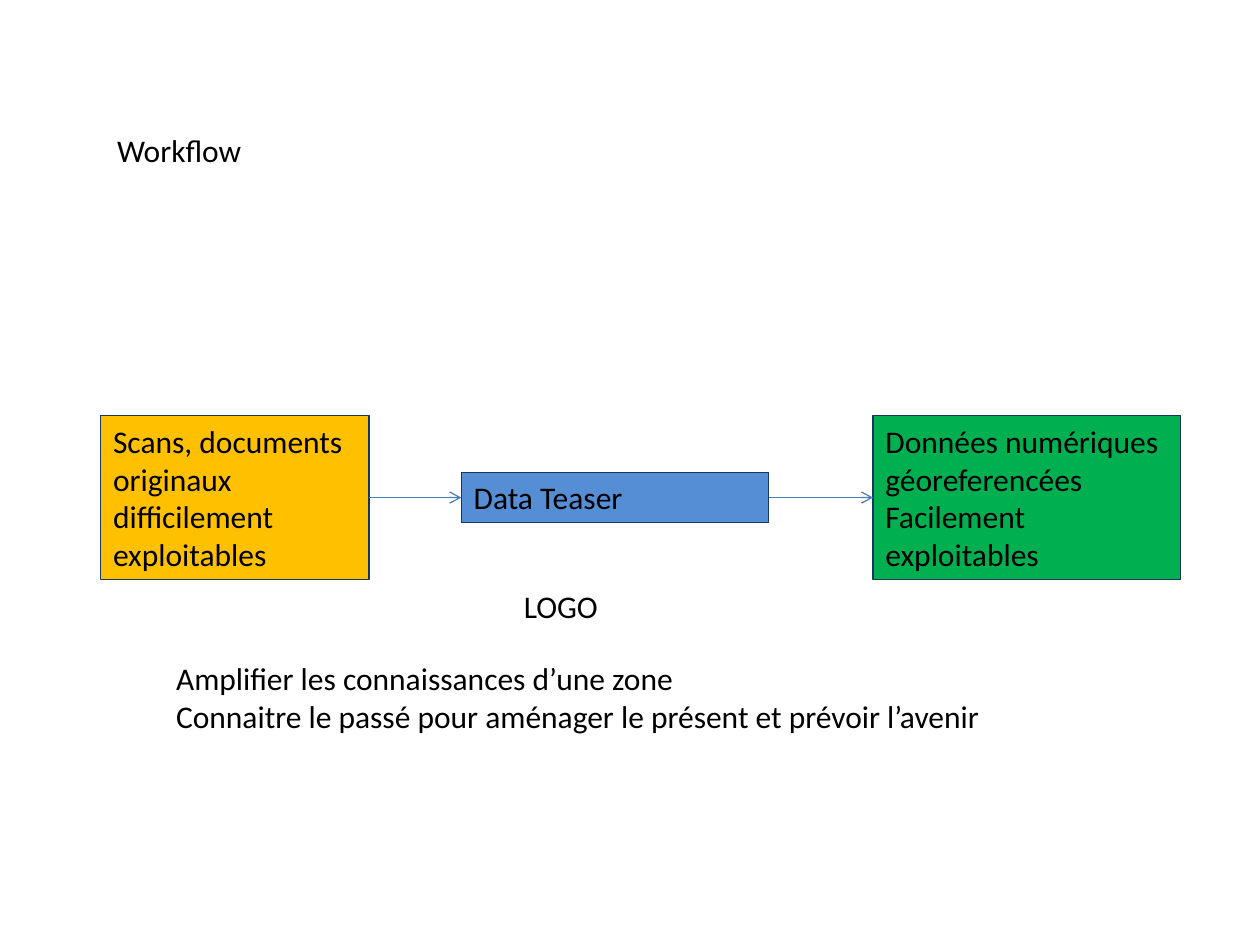
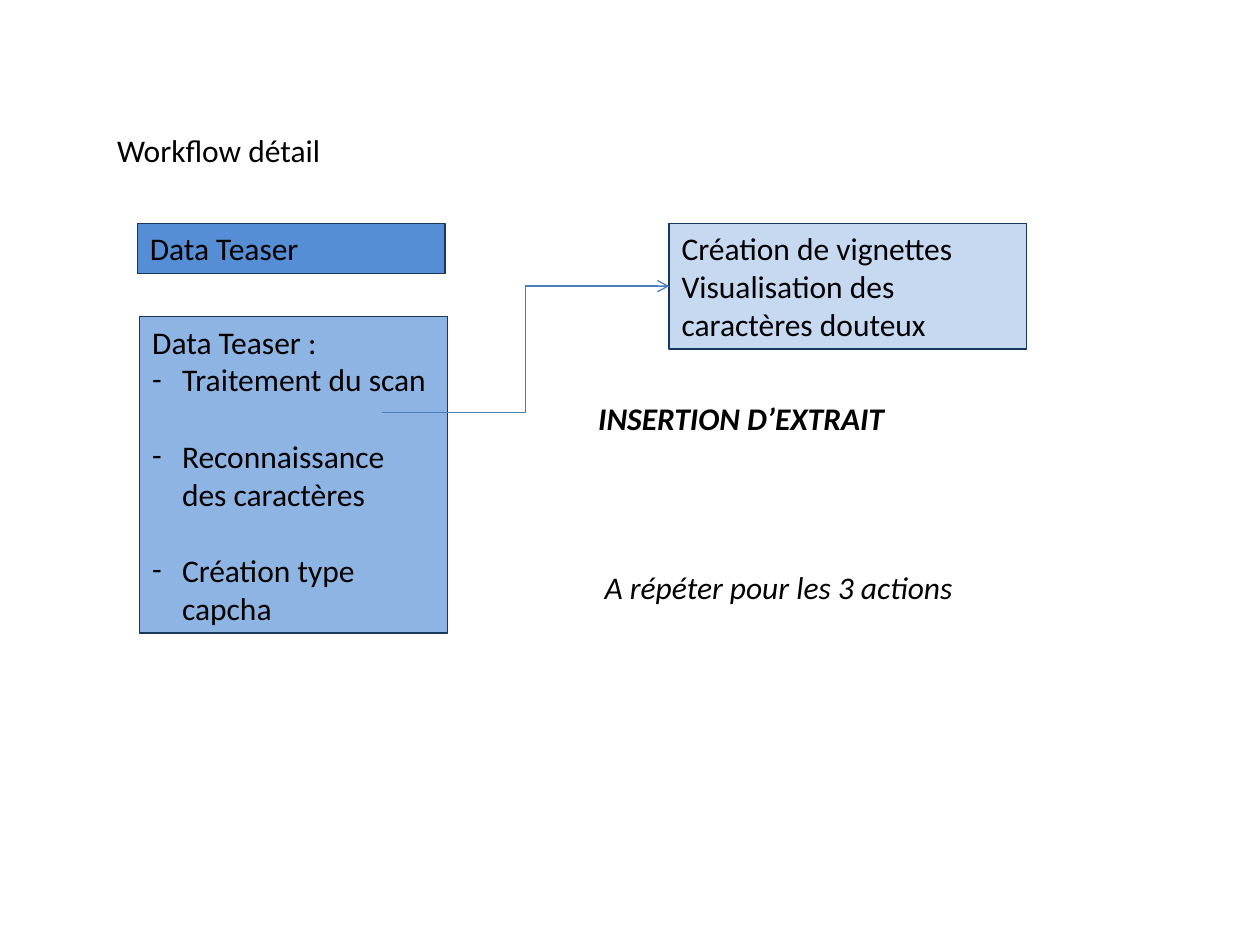
from lxml.etree import SubElement
from pptx import Presentation
from pptx.dml.color import RGBColor
from pptx.enum.shapes import MSO_CONNECTOR, MSO_SHAPE
from pptx.enum.text import MSO_ANCHOR, PP_ALIGN
from pptx.oxml.ns import qn
from pptx.util import Cm, Pt

FONT, SIZE = "Calibri", Pt(18)
BLACK, OUTLINE, ARROW = "000000", "17375E", "4A7EBB"
BLUE, MID_BLUE, PALE_BLUE = "558ED5", "8EB4E3", "C6D9F1"
ORANGE, GREEN = "FFC000", "00B050"
LINE_WIDTH = Pt(0.75)
ROW = 1.02  # height of a one-line box, in cm
LEFT_SIDE, RIGHT_SIDE = 1, 3
color = RGBColor.from_string


def add_box(slide, left, top, width, height, lines, fill=None, bold=None, italic=None):
    """Add text, in an outlined rectangle if a fill is given."""
    place = Cm(left), Cm(top), Cm(width), Cm(height)
    if fill:
        box = slide.shapes.add_shape(MSO_SHAPE.RECTANGLE, *place)
        box.shadow.inherit = False
        box.fill.solid()
        box.fill.fore_color.rgb = color(fill)
        box.line.color.rgb = color(OUTLINE)
        box.line.width = LINE_WIDTH
    else:
        box = slide.shapes.add_textbox(*place)
    frame = box.text_frame
    frame.word_wrap = True
    frame.vertical_anchor = MSO_ANCHOR.TOP
    frame.text = "\n".join(lines)
    for paragraph in frame.paragraphs:
        paragraph.alignment = PP_ALIGN.LEFT
        paragraph.font.name, paragraph.font.size = FONT, SIZE
        paragraph.font.bold, paragraph.font.italic = bold, italic
        paragraph.font.color.rgb = color(BLACK)
    return box


def add_arrow(slide, kind, start, end):
    arrow = slide.shapes.add_connector(kind, *start, *end)
    arrow.line.color.rgb = color(ARROW)
    arrow.line.width = LINE_WIDTH
    SubElement(arrow.line._get_or_add_ln(), qn("a:tailEnd"), type="arrow")
    SubElement(arrow._element.spPr, qn("a:effectLst"))
    return arrow


prs = Presentation()
prs.slide_width, prs.slide_height = Cm(25.4), Cm(19.05)
overview, detail = [prs.slides.add_slide(prs.slide_layouts[6]) for _ in range(2)]
for slide, title in ((overview, "Workflow"), (detail, "Workflow détail")):
    add_box(slide, 2.11, 2.51, 19.41, ROW, [title])

# Overview: from scans to usable data
teaser = add_box(overview, 9.3, 9.52, 6.2, ROW, ["Data Teaser"], BLUE)
scans = add_box(overview, 2.03, 8.38, 5.41, 3.3,
                ["Scans, documents originaux difficilement exploitables"], ORANGE)
digital_data = add_box(overview, 17.6, 8.38, 6.2, 3.3,
                       ["Données numériques géoreferencées", "Facilement exploitables"], GREEN)
for source, target in ((scans, teaser), (teaser, digital_data)):
    arrow = add_arrow(overview, MSO_CONNECTOR.STRAIGHT, (0, 0), (0, 0))
    arrow.begin_connect(source, RIGHT_SIDE)
    arrow.end_connect(target, LEFT_SIDE)
add_box(overview, 10.31, 11.71, 3.61, ROW, ["LOGO"])
add_box(overview, 3.3, 13.16, 17.81, 1.78, [
    "Amplifier les connaissances d’une zone",
    "Connaitre le passé pour aménager le présent et prévoir l’avenir",
])

# Detail: the three actions
add_box(detail, 2.77, 4.5, 6.2, ROW, ["Data Teaser"], BLUE)
actions = add_box(detail, 2.82, 6.38, 6.2, 6.38, ["Data Teaser :"], MID_BLUE)
for number, action in enumerate(
        ("Traitement du scan", "Reconnaissance des caractères", "Création type capcha")):
    paragraph = actions.text_frame.add_paragraph()
    paragraph.text = action
    paragraph.alignment = PP_ALIGN.LEFT
    if number:
        paragraph.space_before = Pt(22)
    properties = paragraph._p.get_or_add_pPr()
    properties.set("marL", str(Cm(0.6)))
    properties.set("indent", str(-Cm(0.6)))
    bullet_color = SubElement(properties, qn("a:buClr"))
    SubElement(bullet_color, qn("a:srgbClr"), val=BLACK)
    SubElement(properties, qn("a:buFont"), typeface=FONT)
    SubElement(properties, qn("a:buChar"), char="-")
    paragraph.font.name, paragraph.font.size = FONT, SIZE
    paragraph.font.color.rgb = color(BLACK)

thumbnails = add_box(detail, 13.49, 4.5, 7.21, 2.54,
                     ["Création de vignettes", "Visualisation des caractères douteux"], PALE_BLUE)
arrow = add_arrow(detail, MSO_CONNECTOR.ELBOW, (Cm(7.7), Cm(8.32)), (Cm(13.49), Cm(5.77)))
arrow.end_connect(thumbnails, LEFT_SIDE)
add_box(detail, 11.81, 7.92, 10.31, ROW, ["INSERTION D’EXTRAIT"], bold=True, italic=True)
add_box(detail, 11.94, 11.33, 10.31, ROW, ["A répéter pour les 3 actions"], italic=True)

prs.save("out.pptx")
